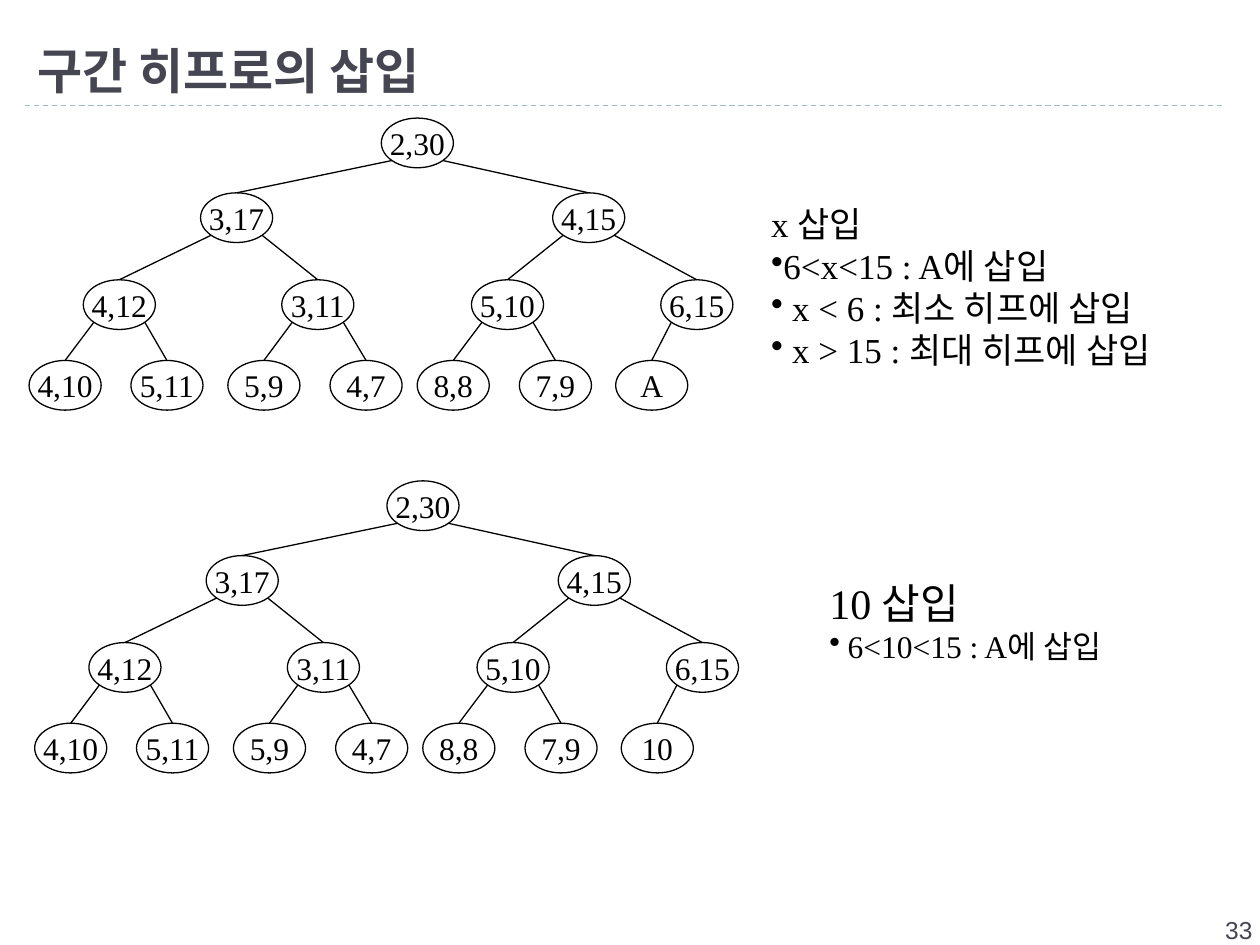
from math import sqrt

from lxml import etree
from pptx import Presentation
from pptx.dml.color import RGBColor
from pptx.enum import dml, shapes, text
from pptx.oxml.ns import qn
from pptx.util import Pt

THEME = {
    "heading": RGBColor.from_string("464653"),
    "rule": RGBColor.from_string("9FB8CD"),
    "ink": RGBColor.from_string("000000"),
    "korean": "Noto Sans CJK KR",
    "serif": "Times New Roman",
    "sans": "Arial",
    "title": 28, "case": 24, "rules": 20, "body": 18, "number": 14,
    "line": 0.75, "leading": 1.2,
}

TITLE = "구간 히프로의 삽입"
PAGE = "33"
HEAP = ["2,30", "3,17", "4,15", "4,12", "3,11", "5,10", "6,15",
        "4,10", "5,11", "5,9", "4,7", "8,8", "7,9"]
TREES = [
    {"nodes": HEAP + ["A"], "left": 0, "top": 67.5},
    {"nodes": HEAP + ["10"], "left": 3.2, "top": 274.8},
]
CENTRES = [238.5, 135.2, 336.4, 68.2, 181.6, 290, 398.2,
           37.2, 95.4, 150.8, 209.2, 259, 317.4, 372.4]
LEVEL_TOPS = [0, 42.7, 92.4, 138.5]
NODE_WIDTH, NODE_HEIGHT = 41.2, 28.4

NOTES = [
    {"box": (433.5, 112.3, 243.4, 103), "lines": [
        ("x 삽입", "rules", None),
        ("6<x<15 : A에 삽입", "rules", 0),
        ("x < 6 : 최소 히프에 삽입", "rules", 12),
        ("x > 15 : 최대 히프에 삽입", "rules", 12)]},
    {"box": (466.8, 326.2, 175.7, 57.6), "lines": [
        ("10 삽입", "case", None),
        ("6<10<15 : A에 삽입", "body", 10.5)]},
]


def apply(target, values):
    for name, value in values.items():
        setattr(target, name, value)


def write(paragraph, content, size, face, color="ink", bold=False):
    run = paragraph.add_run()
    run.text = content
    apply(run.font, {"size": Pt(THEME[size]), "name": THEME[face], "bold": bold})
    run.font.color.rgb = THEME[color]
    east_asian = etree.SubElement(run._r.get_or_add_rPr(), qn("a:ea"))
    east_asian.set("typeface", THEME["korean"])


def add_text_box(slide, box, **frame_values):
    frame = slide.shapes.add_textbox(*map(Pt, box)).text_frame
    apply(frame, frame_values)
    return frame


def add_line(container, start, end, color="ink"):
    connector = container.add_connector(
        shapes.MSO_CONNECTOR.STRAIGHT, *map(Pt, (*start, *end)))
    connector.line.width = Pt(THEME["line"])
    connector.line.color.rgb = THEME[color]
    etree.SubElement(connector._element.spPr, qn("a:effectLst"))
    return connector


def add_node(container, label, centre, top):
    node = container.add_shape(
        shapes.MSO_SHAPE.OVAL, Pt(centre - NODE_WIDTH / 2), Pt(top),
        Pt(NODE_WIDTH), Pt(NODE_HEIGHT))
    node.shadow.inherit = False
    node.fill.background()
    node.line.width = Pt(THEME["line"])
    node.line.color.rgb = THEME["ink"]
    apply(node.text_frame, {"word_wrap": False,
                            "vertical_anchor": text.MSO_ANCHOR.MIDDLE})
    paragraph = node.text_frame.paragraphs[0]
    paragraph.alignment = text.PP_ALIGN.CENTER
    write(paragraph, label, "body", "serif")
    return node


def add_tree(slide, tree):
    container = slide.shapes.add_group_shape().shapes
    places = []
    for index, label in enumerate(tree["nodes"]):
        level = (index + 1).bit_length() - 1
        centre = tree["left"] + CENTRES[index]
        top = tree["top"] + LEVEL_TOPS[level]
        node = add_node(container, label, centre, top)
        places.append((centre, top))
        if index:
            parent_centre, parent_top = places[(index - 1) // 2]
            side = -1 if index % 2 else 1
            start = (parent_centre + side * NODE_WIDTH / 2 / sqrt(2),
                     parent_top + NODE_HEIGHT / 2 * (1 + 1 / sqrt(2)))
            add_line(container, start, (centre, top)).end_connect(node, 0)


def add_bullet(paragraph, indent):
    properties = paragraph._p.get_or_add_pPr()
    properties.set("marL", str(Pt(indent)))
    properties.set("indent", str(Pt(-indent)))
    etree.SubElement(properties, qn("a:buChar")).set("char", "•")


def add_note(slide, note):
    frame = add_text_box(slide, note["box"], word_wrap=False)
    for index, (content, size, indent) in enumerate(note["lines"]):
        paragraph = frame.add_paragraph() if index else frame.paragraphs[0]
        if indent is not None:
            add_bullet(paragraph, indent)
        paragraph.line_spacing = Pt(THEME[size] * THEME["leading"])
        write(paragraph, content, size, "serif")


def main():
    presentation = Presentation()
    apply(presentation, {"slide_width": Pt(720), "slide_height": Pt(540)})
    slide = presentation.slides.add_slide(presentation.slide_layouts[6])

    rule = add_line(slide.shapes, (14.4, 60.3), (699.8, 60.3), "rule")
    rule.line.dash_style = dml.MSO_LINE.DASH

    title = add_text_box(slide, (14.4, 12.2, 692, 48.2), word_wrap=True,
                         vertical_anchor=text.MSO_ANCHOR.BOTTOM)
    write(title.paragraphs[0], TITLE, "title", "korean", "heading", True)

    number = add_text_box(slide, (566.6, 519.1, 156.2, 28.8), word_wrap=True)
    number.paragraphs[0].alignment = text.PP_ALIGN.RIGHT
    write(number.paragraphs[0], PAGE, "number", "sans", "heading")

    for tree in TREES:
        add_tree(slide, tree)
    for note in NOTES:
        add_note(slide, note)
    presentation.save("out.pptx")


if __name__ == "__main__":
    main()
